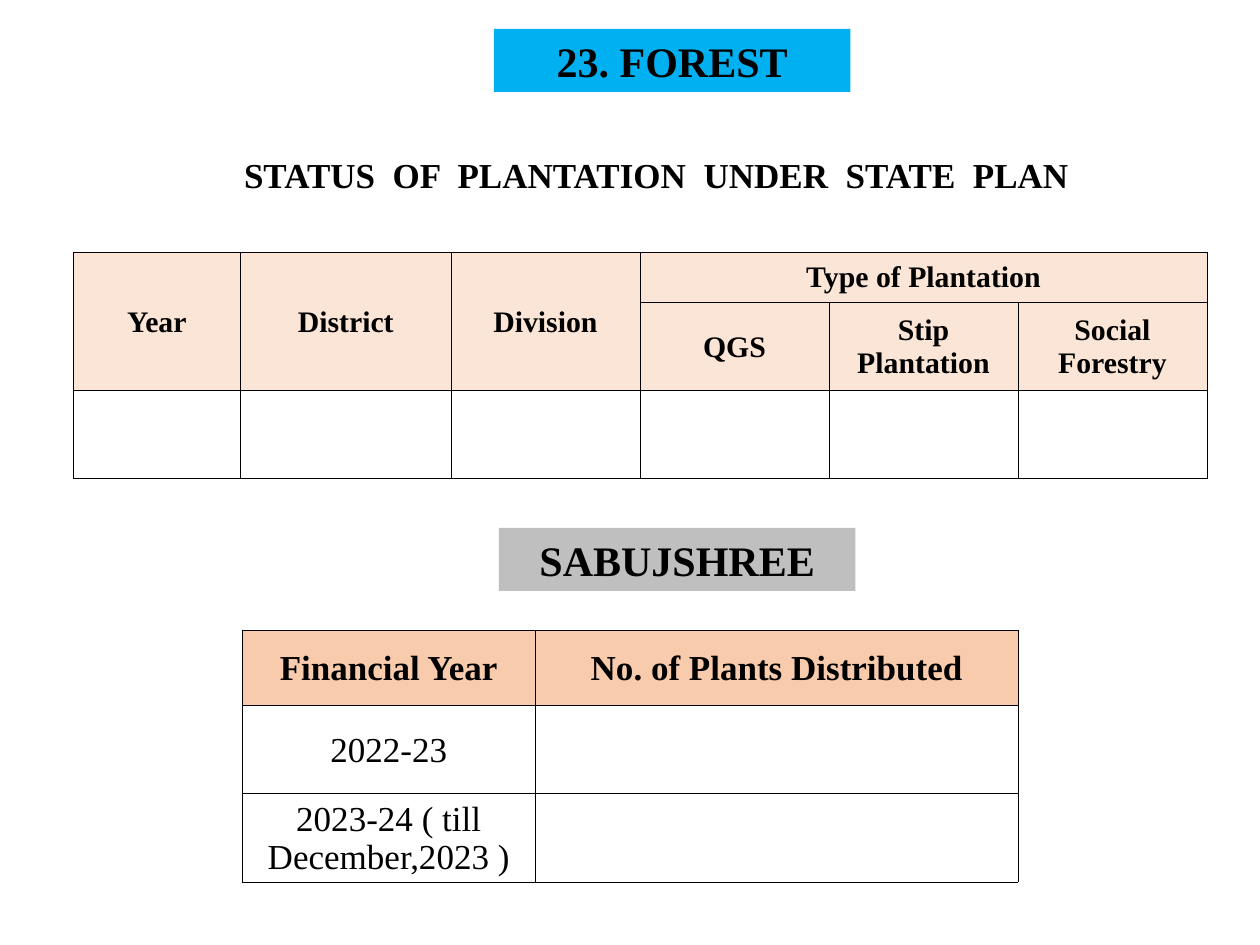
from lxml import etree
from pptx import Presentation
from pptx.dml.color import RGBColor
from pptx.enum import text
from pptx.oxml import ns
from pptx.util import Inches, Pt

FONT = "Times New Roman"
BLACK = "000000"
TITLE = ("23. FOREST", 24, (3.92, 0.23, 2.83, 0.5), "00B0F0")
LABELS = [
    ("STATUS  OF  PLANTATION  UNDER  STATE  PLAN", 20, (1.17, 1.17, 8.08, 0.44), None),
    ("SABUJSHREE", 24, (3.96, 4.19, 2.83, 0.5), "BFBFBF"),
]
TABLES = [
    {
        "at": (0.58, 2), "size": 17, "fill": "FBE5D6", "header_rows": 2,
        "columns": [1.33, 1.67, 1.5, 1.5, 1.5, 1.5], "heights": [0.4, 0.7, 0.7],
        "rows": [
            ["Year", "District", "Division", "Type of Plantation", "", ""],
            ["", "", "", "QGS", "Stip Plantation", "Social Forestry"],
            [""] * 6,
        ],
        "merges": [((0, 0), (1, 0)), ((0, 1), (1, 1)), ((0, 2), (1, 2)), ((0, 3), (0, 5))],
    },
    {
        "at": (1.92, 5), "size": 20, "fill": "F8CBAD", "header_rows": 1,
        "columns": [2.33, 3.83], "heights": [0.6, 0.7, 0.7],
        "rows": [
            ["Financial Year", "No. of Plants Distributed"],
            ["2022-23", ""],
            ["2023-24 ( till December,2023 )", ""],
        ],
        "merges": [],
    },
]


def paint(fill, color):
    if color:
        fill.solid()
        fill.fore_color.rgb = RGBColor.from_string(color)
    else:
        fill.background()


def write(frame, words, size, bold=True):
    para = frame.paragraphs[0]
    para.text = words
    para.alignment = text.PP_ALIGN.CENTER
    font = para.font
    font.name, font.size, font.bold = FONT, Pt(size), bold
    font.color.rgb = RGBColor.from_string(BLACK)


def format_label(box, words, size, place, color):
    box.left, box.top, box.width, box.height = map(Inches, place)
    paint(box.fill, color)
    frame = box.text_frame
    frame.word_wrap = True
    frame.auto_size = text.MSO_AUTO_SIZE.NONE
    frame.vertical_anchor = text.MSO_ANCHOR.TOP
    write(frame, words, size)


def add_borders(cell):
    properties = cell._tc.get_or_add_tcPr()
    for side in ("lnL", "lnR", "lnT", "lnB"):
        line = etree.SubElement(properties, ns.qn("a:" + side), w=str(Pt(0.5)))
        solid = etree.SubElement(line, ns.qn("a:solidFill"))
        etree.SubElement(solid, ns.qn("a:srgbClr"), val=BLACK)


def add_grid(slide, data):
    columns, heights = data["columns"], data["heights"]
    size = map(Inches, (sum(columns), sum(heights)))
    grid = slide.shapes.add_table(
        len(heights), len(columns), *map(Inches, data["at"]), *size).table
    for column, width in zip(grid.columns, columns):
        column.width = Inches(width)
    for row, height in zip(grid.rows, heights):
        row.height = Inches(height)
    for row_index, words_row in enumerate(data["rows"]):
        is_header = row_index < data["header_rows"]
        for column_index, words in enumerate(words_row):
            cell = grid.cell(row_index, column_index)
            add_borders(cell)
            paint(cell.fill, data["fill"] if is_header else None)
            cell.vertical_anchor = text.MSO_ANCHOR.MIDDLE
            cell.margin_left = cell.margin_right = cell.margin_top = Inches(0.01)
            cell.margin_bottom = 0
            if words:
                write(cell.text_frame, words, data["size"], is_header)
    for first, last in data["merges"]:
        grid.cell(*first).merge(grid.cell(*last))


deck = Presentation()
deck.slide_width, deck.slide_height = Inches(10), Inches(7.5)
page = deck.slides.add_slide(deck.slide_layouts[5])
format_label(page.shapes.title, *TITLE)
for label in LABELS:
    format_label(page.shapes.add_textbox(0, 0, 0, 0), *label)
for table_data in TABLES:
    add_grid(page, table_data)
deck.save("out.pptx")
